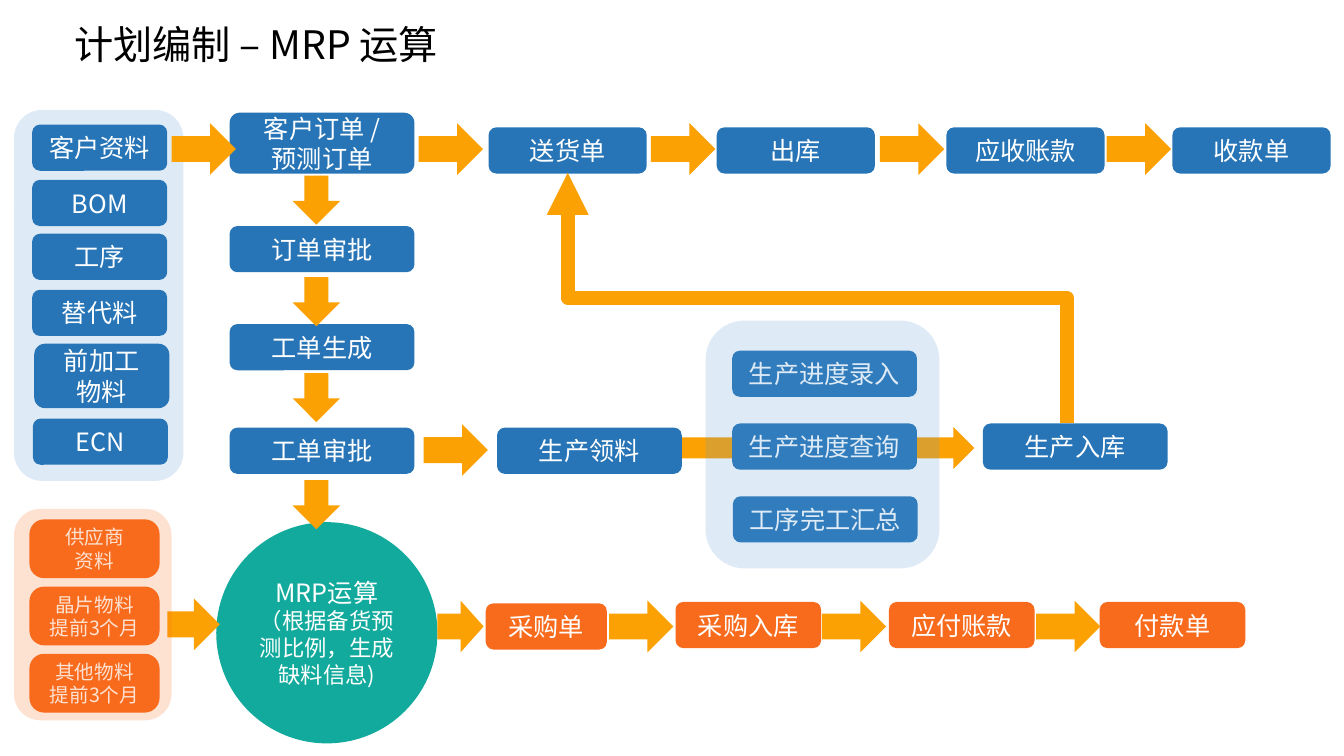
from lxml.etree import SubElement
from pptx import Presentation
from pptx.dml.color import RGBColor
from pptx.enum.shapes import MSO_CONNECTOR as Conn, MSO_SHAPE as Geo
from pptx.enum.text import MSO_ANCHOR as Anchor, PP_ALIGN as Align
from pptx.oxml.ns import qn
from pptx.util import Pt

FACE = "Noto Sans CJK SC"
HUES = {
    "blue": "2775B6", "orange": "F86B1D", "teal": "12AA9C", "arrow": "FCA104",
    "pale": "5B9BD5", "white": "FFFFFF", "black": "000000",
}


def style(para, size, hue, align):
    para.alignment = align
    font = para.font
    font.size = Pt(size)
    font.color.rgb = RGBColor.from_string(HUES[hue])
    font.name = FACE
    SubElement(font._element, qn("a:ea")).set("typeface", FACE)


def put(geo, x, y, w, h, hue, text="", size=18, alpha=None):
    shape = shapes.add_shape(geo, Pt(x), Pt(y), Pt(w), Pt(h))
    shape.shadow.inherit = False
    shape.fill.solid()
    shape.fill.fore_color.rgb = RGBColor.from_string(HUES[hue])
    shape.line.fill.background()
    if alpha:
        color = shape._element.spPr.find(qn("a:solidFill"))[0]
        SubElement(color, qn("a:alpha")).set("val", str(alpha * 1000))
    if text:
        frame = shape.text_frame
        frame.word_wrap = True
        frame.vertical_anchor = Anchor.MIDDLE
        frame.text = text
        for para in frame.paragraphs:
            style(para, size, "white", Align.CENTER)
    return shape


deck = Presentation()
deck.slide_width, deck.slide_height = Pt(960), Pt(540)
shapes = deck.slides.add_slide(deck.slide_layouts[6]).shapes
BOX, RIGHT, DOWN = Geo.ROUNDED_RECTANGLE, Geo.RIGHT_ARROW, Geo.DOWN_ARROW

title = shapes.add_textbox(Pt(46), Pt(14.5), Pt(887), Pt(50)).text_frame
title.word_wrap = True
title.text = "计划编制 – MRP 运算"
title.paragraphs[0].line_spacing = 0.9
style(title.paragraphs[0], 28, "black", Align.LEFT)

put(RIGHT, 486, 305, 210, 30, "arrow")
put(BOX, 10, 78.5, 121, 265, "pale", alpha=20)

for x, y, h, text in [
    (23, 89, 33, "客户资料"), (23, 128.5, 33, "BOM"), (23, 167, 33, "工序"),
    (23, 207, 33, "替代料"), (24.5, 245.5, 46, "前加工\n物料"), (23.5, 299, 33, "ECN"),
]:
    put(BOX, x, y, 96.5, h, "blue", text)

for x, y, h, text in [
    (164, 80.5, 43.5, "客户订单 /\n预测订单"), (164, 161.5, 33, "订单审批"),
    (164, 231.5, 33, "工单生成"), (164, 305.5, 33, "工单审批"),
    (355, 305.5, 33, "生产领料"), (523, 250.5, 33, "生产进度录入"),
    (523, 302.5, 33, "生产进度查询"), (523.5, 354.5, 33, "工序完工汇总"),
    (702, 302.5, 33, "生产入库"),
]:
    put(BOX, x, y, 132, h, "blue", text)

for x, text in [(349, "送货单"), (512, "出库"), (676, "应收账款"), (837.5, "收款单")]:
    put(BOX, x, 91, 113, 33, "blue", text)

put(BOX, 347, 431, 86.5, 33, "orange", "采购单")
for x, text in [(482.5, "采购入库"), (635, "应付账款"), (785.5, "付款单")]:
    put(BOX, x, 430, 104, 33, "orange", text)

circle = put(Geo.OVAL, 154.5, 373, 158, 158, "teal", "MRP运算\n（根据备货预测比例，生成缺料信息)")
circle.text_frame.paragraphs[1].font.size = Pt(16)

put(BOX, 504, 229, 167, 177, "pale", alpha=20)

for y in (125.5, 198, 266.5, 343):
    put(DOWN, 209, y, 34, 35, "arrow")
for y, w, starts in [
    (88, 46, (122.5, 299, 465, 628.5, 790.5)), (303, 46, (302.5,)),
    (429, 46, (435, 587, 740)), (429, 33, (312.5,)), (427.5, 37.5, (119.5,)),
]:
    for x in starts:
        put(RIGHT, x, y, w, 37, "arrow")

link = shapes.add_connector(Conn.ELBOW, Pt(494.5), Pt(391), Pt(673), Pt(34.5))
link.line.color.rgb = RGBColor.from_string(HUES["arrow"])
link.line.width = Pt(10)
props = link._element.spPr
props.find(qn("a:xfrm")).set("rot", str(270 * 60000))
SubElement(props.find(qn("a:ln")), qn("a:tailEnd")).set("type", "triangle")
SubElement(props, qn("a:effectLst"))

for row, text in enumerate(["供应商\n资料", "晶片物料\n提前3个月", "其他物料\n提前3个月"]):
    card = put(BOX, 21, 371 + 48 * row, 93, 42, "orange", text, 14)
    card.adjustments[0] = 0.25
put(BOX, 10, 363.5, 112.5, 151, "orange", alpha=20)

deck.save("out.pptx")
